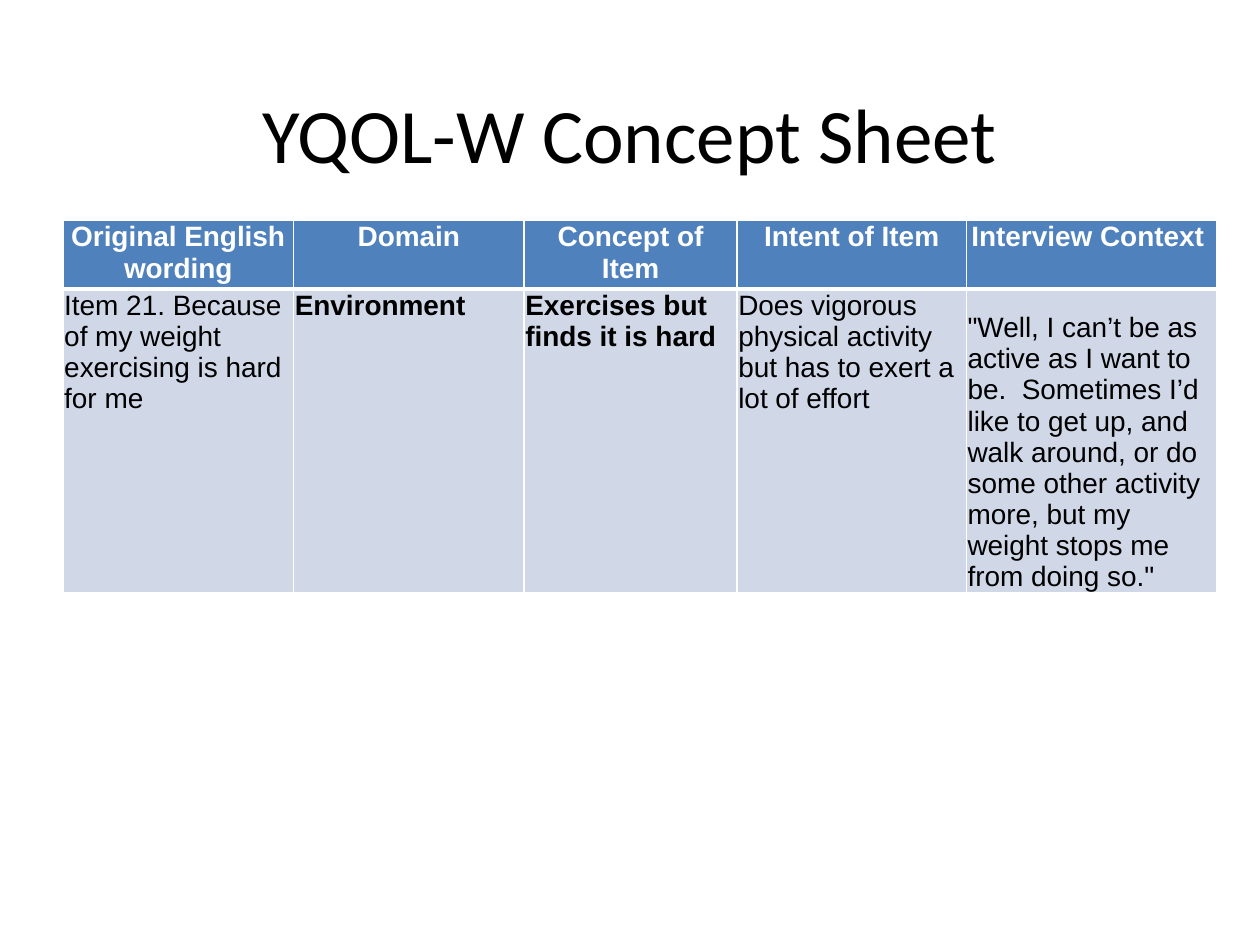
from dataclasses import dataclass

from lxml import etree
from pptx import Presentation
from pptx.dml.color import RGBColor
from pptx.enum.text import MSO_ANCHOR, PP_ALIGN
from pptx.oxml.ns import qn
from pptx.util import Inches, Pt

CENTER, LEFT = PP_ALIGN.CENTER, PP_ALIGN.LEFT
TOP, MIDDLE, BOTTOM = MSO_ANCHOR.TOP, MSO_ANCHOR.MIDDLE, MSO_ANCHOR.BOTTOM


@dataclass(frozen=True)
class Theme:
    title_font: str = "Calibri"
    table_font: str = "Arial"
    title_size: int = 44
    table_size: int = 16
    black: str = "000000"
    white: str = "FFFFFF"
    header_fill: str = "4F81BD"
    body_fill: str = "D0D8E8"
    thin: int = 1
    thick: int = 3


THEME = Theme()

COL_WIDTHS = [1.83, 1.83, 1.69, 1.82, 1.99]
ROW_HEIGHTS = [0.53, 1.97]
HEADERS = ["Original English wording", "Domain", "Concept of Item",
           "Intent of Item", "Interview Context "]
# Text, bold, vertical anchor
ITEM = [
    ("Item 21. Because of my weight exercising is hard for me", False, TOP),
    ("Environment", True, TOP),
    ("Exercises but finds it is hard", True, TOP),
    ("Does vigorous physical activity but has to exert a lot of effort",
     False, TOP),
    ("\"Well, I can’t be as active as I want to be.  Sometimes I’d like to "
     "get up, and walk around, or do some other activity more, but my weight "
     "stops me from doing so.\"", False, BOTTOM),
]


def set_attrs(obj, values):
    for name, value in values.items():
        setattr(obj, name, value)


def write(tf, text, align, color, font):
    p = tf.paragraphs[0]
    p.alignment = align
    r = p.add_run()
    r.text = text
    set_attrs(r.font, font)
    r.font.color.rgb = RGBColor.from_string(color)


def add_title(s, text):
    tf = s.shapes.add_textbox(Inches(0.75), Inches(0.25),
                              Inches(8.5), Inches(1.61)).text_frame
    set_attrs(tf, {"word_wrap": True, "vertical_anchor": MIDDLE})
    write(tf, text, CENTER, THEME.black,
          {"name": THEME.title_font, "size": Pt(THEME.title_size)})


def set_borders(cell, widths):
    tc_pr = cell._tc.get_or_add_tcPr()
    for side, width in widths.items():
        ln = etree.SubElement(tc_pr, qn(f"a:ln{side}"), w=str(Pt(width)))
        fill = etree.SubElement(ln, qn("a:solidFill"))
        etree.SubElement(fill, qn("a:srgbClr"), val=THEME.white)


def format_cell(cell, text, bold, anchor, header):
    edge = Inches(0.01)
    set_attrs(cell, {"margin_left": edge, "margin_top": edge,
                     "margin_right": edge, "margin_bottom": 0,
                     "vertical_anchor": anchor})
    # The thick line runs between the header and the body
    set_borders(cell, {"L": THEME.thin, "R": THEME.thin,
                       "T": THEME.thin if header else THEME.thick,
                       "B": THEME.thick if header else THEME.thin})
    cell.fill.solid()
    cell.fill.fore_color.rgb = RGBColor.from_string(
        THEME.header_fill if header else THEME.body_fill)
    write(cell.text_frame, text, CENTER if header else LEFT,
          THEME.white if header else THEME.black,
          {"name": THEME.table_font, "size": Pt(THEME.table_size),
           "bold": bold})


def add_concept_table(s):
    rows = [[(text, True, TOP) for text in HEADERS], ITEM]
    table = s.shapes.add_table(
        len(rows), len(HEADERS), Inches(0.5), Inches(1.75),
        Inches(sum(COL_WIDTHS)), Inches(sum(ROW_HEIGHTS))).table
    for col, width in zip(table.columns, COL_WIDTHS):
        col.width = Inches(width)
    for i, (row, height) in enumerate(zip(table.rows, ROW_HEIGHTS)):
        row.height = Inches(height)
        for cell, (text, bold, anchor) in zip(row.cells, rows[i]):
            format_cell(cell, text, bold, anchor, header=i == 0)


def main():
    prs = Presentation()
    set_attrs(prs, {"slide_width": Inches(10), "slide_height": Inches(7.5)})
    s = prs.slides.add_slide(prs.slide_layouts[6])
    add_title(s, "YQOL-W Concept Sheet")
    add_concept_table(s)
    prs.save("out.pptx")


if __name__ == "__main__":
    main()
